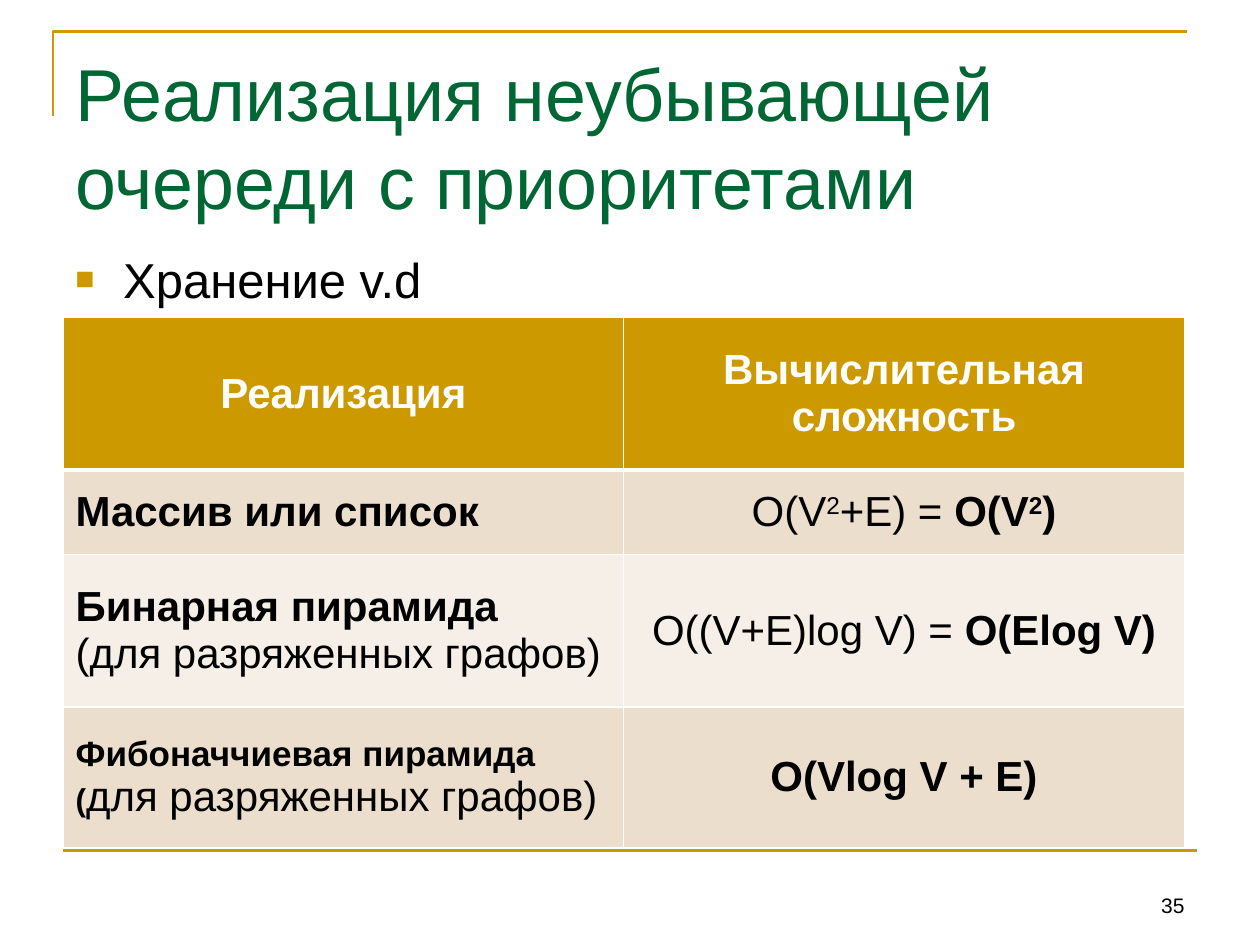
from dataclasses import dataclass, field

from lxml.etree import SubElement
from pptx import Presentation
from pptx.dml.color import RGBColor
from pptx.enum.shapes import MSO_CONNECTOR
from pptx.enum.text import MSO_ANCHOR, PP_ALIGN
from pptx.oxml.ns import qn
from pptx.util import Pt

PX = 9144
GOLD = RGBColor(0xCC, 0x99, 0x00)
GREEN = RGBColor(0x00, 0x66, 0x33)
BLACK = RGBColor(0x00, 0x00, 0x00)
WHITE = RGBColor(0xFF, 0xFF, 0xFF)
SAND = RGBColor(0xEC, 0xDE, 0xCC)
CREAM = RGBColor(0xF6, 0xEF, 0xE7)


@dataclass
class Run:
    text: str
    bold: bool = False
    size: int = 24
    color: RGBColor = BLACK
    raised: bool = False


@dataclass
class Label:
    box: tuple[int, int, int, int]
    run: Run
    frame: dict = field(default_factory=dict)
    para: dict = field(default_factory=dict)


@dataclass
class Row:
    height: int
    fill: RGBColor
    name: list[list[Run]]
    cost: list[Run]
    name_align: PP_ALIGN = PP_ALIGN.LEFT
    rule: int = 1


LABELS = [
    Label((50, 30, 900, 125),
          Run("Реализация неубывающей очереди с приоритетами", size=42, color=GREEN),
          {"margin_top": 9 * PX}, {"line_spacing": Pt(50)}),
    Label((717, 683, 233, 50), Run("35", size=12),
          {"vertical_anchor": MSO_ANCHOR.BOTTOM}, {"alignment": PP_ALIGN.RIGHT}),
]
BULLET = Label((50, 189, 900, 63), Run("Хранение v.d", size=28),
               {"margin_top": 9 * PX})

ROWS = [
    Row(121, GOLD, [[Run("Реализация", True, color=WHITE)]],
        [Run("Вычислительная сложность", True, color=WHITE)],
        PP_ALIGN.CENTER, 3),
    Row(67, SAND, [[Run("Массив или список", True)]],
        [Run("O(V"), Run("2", raised=True), Run("+E) = "),
         Run("O(V", True), Run("2", True, raised=True), Run(")", True)]),
    Row(121, CREAM,
        [[Run("Бинарная пирамида", True)], [Run("(для разряженных графов)")]],
        [Run("O((V+E)log V) = "), Run("O(Elog V)", True)]),
    Row(112, SAND,
        [[Run("Фибоначчиевая пирамида", True, 20)],
         [Run("(", True, 18), Run("для разряженных графов)")]],
        [Run("O(Vlog V + E)", True)]),
]


def apply(obj, values: dict) -> None:
    for name, value in values.items():
        setattr(obj, name, value)


def add_run(p, run: Run) -> None:
    r = p.add_run()
    r.text = run.text
    apply(r.font, {"name": "Arial", "size": Pt(run.size), "bold": run.bold})
    r.font.color.rgb = run.color
    if run.raised:
        r.font._element.set("baseline", "30000")


def add_label(s, label: Label):
    sp = s.shapes.add_textbox(*(v * PX for v in label.box))
    tf = sp.text_frame
    apply(tf, {"word_wrap": True, **label.frame})
    p = tf.paragraphs[0]
    apply(p, label.para)
    add_run(p, label.run)
    return p


def add_bullet(p, indent: int) -> None:
    pPr = p._p.get_or_add_pPr()
    pPr.set("marL", str(indent * PX))
    pPr.set("indent", str(-indent * PX))
    clr = SubElement(pPr, qn("a:buClr"))
    SubElement(clr, qn("a:srgbClr"), val=str(GOLD))
    SubElement(pPr, qn("a:buSzPct"), val="65000")
    SubElement(pPr, qn("a:buFont"), typeface="Arial")
    SubElement(pPr, qn("a:buChar"), char="■")


def set_line(sp) -> None:
    sp.line.color.rgb = GOLD
    sp.line.width = Pt(1.5)


def add_frame(s) -> None:
    fb = s.shapes.build_freeform(42, 92, scale=PX)
    fb.add_line_segments([(42, 25), (942, 25)], close=False)
    sp = fb.convert_to_shape()
    sp.shadow.inherit = False
    sp.fill.background()
    set_line(sp)
    rule = s.shapes.add_connector(MSO_CONNECTOR.STRAIGHT,
                                  50 * PX, 675 * PX, 950 * PX, 675 * PX)
    set_line(rule)
    SubElement(rule._element.spPr, qn("a:effectLst"))


def set_borders(cell, top: int, bottom: int) -> None:
    tcPr = cell._tc.get_or_add_tcPr()
    for side, width in {"L": 1, "R": 1, "T": top, "B": bottom}.items():
        ln = SubElement(tcPr, qn(f"a:ln{side}"), w=str(Pt(width)))
        fill = SubElement(ln, qn("a:solidFill"))
        SubElement(fill, qn("a:srgbClr"), val=str(WHITE))


def fill_cell(cell, paras: list[list[Run]], align: PP_ALIGN) -> None:
    tf = cell.text_frame
    for i, runs in enumerate(paras):
        p = tf.add_paragraph() if i else tf.paragraphs[0]
        p.alignment = align
        for run in runs:
            add_run(p, run)


def add_costs(s, rows: list[Row]) -> None:
    height = sum(row.height for row in rows)
    table = s.shapes.add_table(len(rows), 2, 50 * PX, 252 * PX,
                               890 * PX, height * PX).table
    top = 1
    for i, row in enumerate(rows):
        table.rows[i].height = row.height * PX
        contents = [(row.name, row.name_align), ([row.cost], PP_ALIGN.CENTER)]
        for j, (paras, align) in enumerate(contents):
            cell = table.cell(i, j)
            cell.vertical_anchor = MSO_ANCHOR.MIDDLE
            set_borders(cell, top, row.rule)
            cell.fill.solid()
            cell.fill.fore_color.rgb = row.fill
            fill_cell(cell, paras, align)
        top = row.rule


def main() -> None:
    prs = Presentation()
    apply(prs, {"slide_width": 1000 * PX, "slide_height": 750 * PX})
    s = prs.slides.add_slide(prs.slide_layouts[6])
    add_frame(s)
    for label in LABELS:
        add_label(s, label)
    add_costs(s, ROWS)
    add_bullet(add_label(s, BULLET), 38)
    prs.save("out.pptx")


if __name__ == "__main__":
    main()
